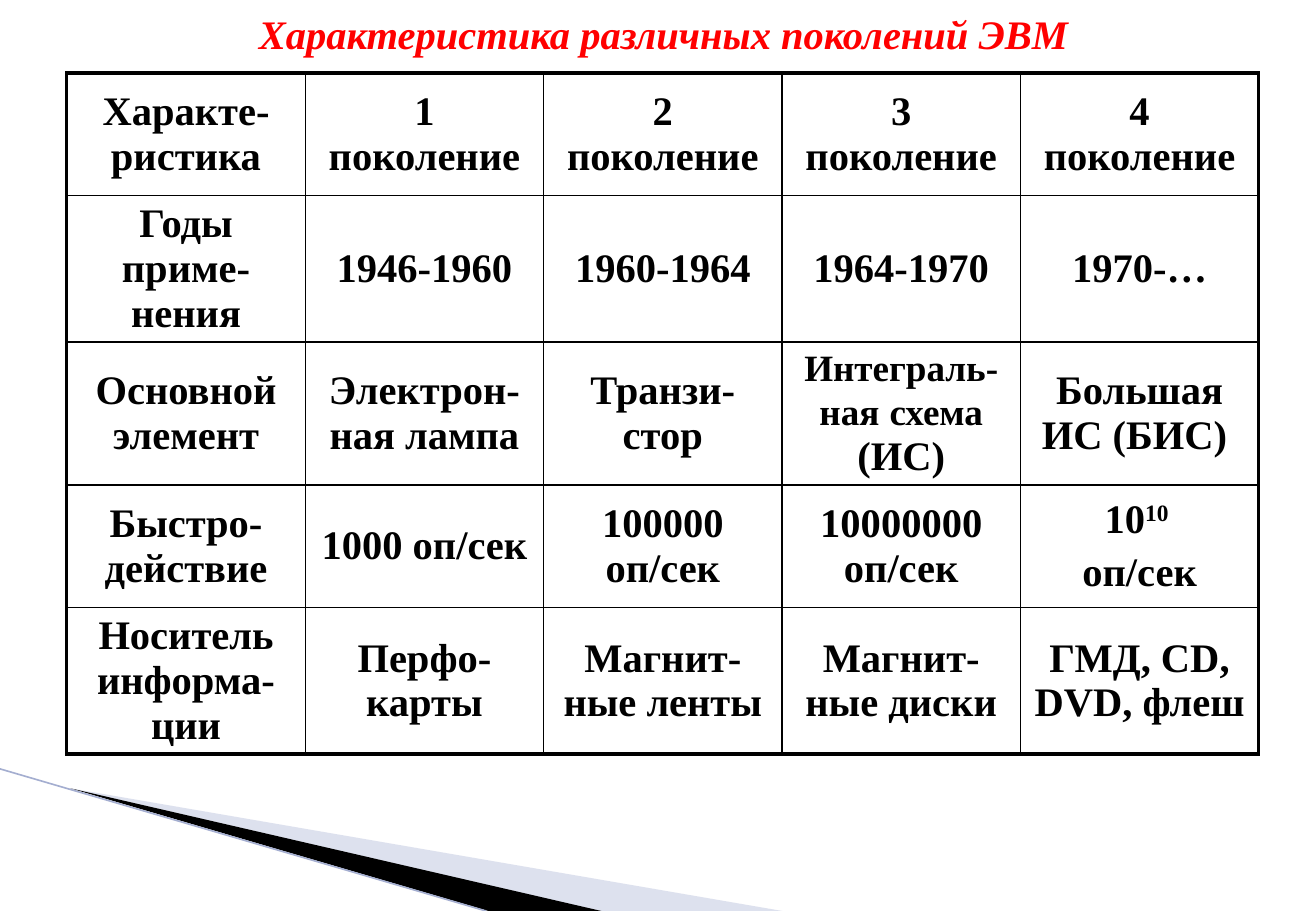
from lxml import etree
from pptx import Presentation
from pptx.dml.color import RGBColor
from pptx.enum.shapes import MSO_CONNECTOR
from pptx.enum.text import MSO_ANCHOR, PP_ALIGN
from pptx.oxml.ns import qn
from pptx.util import Inches, Pt

CENTER, MIDDLE = PP_ALIGN.CENTER, MSO_ANCHOR.MIDDLE
STRAIGHT = MSO_CONNECTOR.STRAIGHT
BLACK = RGBColor(0x00, 0x00, 0x00)
RED = RGBColor(0xFF, 0x00, 0x00)
PALE_BLUE = RGBColor(0xAC, 0xB4, 0xD5)
LINE_BLUE = RGBColor(0xA4, 0xAE, 0xD0)
FONT = "Times New Roman"
SIZE = 24
THIN, THICK = 1, 2.25

ROW_HEIGHTS = [1.01, 1.15, 1.12, 1.01, 1.15]
ROWS = [
    ["Характе-ристика", "1 поколение", "2 поколение", "3 поколение", "4 поколение"],
    ["Годы приме-нения", "1946-1960", "1960-1964", "1964-1970", "1970-…"],
    ["Основной элемент", "Электрон-ная лампа", "Транзи-стор",
     [[("Интеграль-ная", 22, 0), (" ", SIZE, 0), ("схема ", 22, 0), ("(ИС)", SIZE, 0)]],
     "Большая ИС (БИС) "],
    ["Быстро-действие", "1000 оп/сек", "100000 оп/сек", "10000000 оп/сек",
     [[("10", SIZE, 0), ("10 ", SIZE, 30)], [("оп/сек", SIZE, 0)]]],
    ["Носитель информа-ции", "Перфо-карты", "Магнит-ные ленты", "Магнит-ные диски",
     "ГМД, CD, DVD, флеш"],
]


def add_run(p, text, color, size=SIZE, raised=0, italic=False):
    """Add one bold run to a paragraph."""
    r = p.add_run()
    r.text = text
    r.font.name, r.font.size = FONT, Pt(size)
    r.font.bold, r.font.italic = True, italic
    r.font.color.rgb = color
    if raised:
        r.font._element.set("baseline", str(raised * 1000))


def add_wedge(slide, points, color, alpha=100):
    """Draw a filled outline through points given in inches."""
    pts = [(Inches(x), Inches(y)) for x, y in points]
    builder = slide.shapes.build_freeform(*pts[0], scale=1.0)
    builder.add_line_segments(pts[1:], close=True)
    sp = builder.convert_to_shape()
    sp.shadow.inherit = False
    sp.line.fill.background()
    sp.fill.solid()
    sp.fill.fore_color.rgb = color
    if alpha < 100:
        clr = sp._element.spPr.find(qn("a:solidFill"))[0]
        etree.SubElement(clr, qn("a:alpha")).set("val", str(alpha * 1000))


def add_corner(slide, left, top, bottom):
    """Draw the wedges and the line in the lower left corner."""
    tip = (left + 0.58, top + 0.16)
    add_wedge(slide, [tip, (left + 6.44, bottom), (left + 4.94, bottom)], PALE_BLUE, 40)
    add_wedge(slide, [tip, (left + 4.95, bottom), (left + 4.02, bottom)], BLACK)
    line = slide.shapes.add_connector(
        STRAIGHT, Inches(left), Inches(top), Inches(left + 4), Inches(bottom))
    line.line.color.rgb = LINE_BLUE
    line.line.width = Pt(0.95)
    etree.SubElement(line._element.spPr, qn("a:effectLst"))


def add_title(slide, left, top, width, height):
    """Place and fill the title placeholder."""
    sp = slide.shapes.title
    sp.left, sp.top, sp.width, sp.height = map(Inches, (left, top, width, height))
    tf = sp.text_frame
    tf.word_wrap = True
    tf.vertical_anchor = MIDDLE
    p = tf.paragraphs[0]
    p.alignment = CENTER
    add_run(p, "Характеристика различных поколений ЭВМ", RED, italic=True)


def set_borders(cell, widths):
    """Give the four cell sides black lines of the given widths."""
    tc_pr = cell._tc.get_or_add_tcPr()
    for side, width in widths.items():
        ln = etree.SubElement(tc_pr, qn("a:ln" + side), w=str(Pt(width)))
        fill = etree.SubElement(ln, qn("a:solidFill"))
        etree.SubElement(fill, qn("a:srgbClr"), val=str(BLACK))


def fill_cell(cell, content):
    """Write a string, or paragraphs made of runs, into a cell."""
    cell.vertical_anchor = MIDDLE
    cell.margin_left = cell.margin_right = Inches(0.11)
    cell.margin_top = cell.margin_bottom = Inches(0.05)
    paragraphs = [[(content, SIZE, 0)]] if isinstance(content, str) else content
    tf = cell.text_frame
    for i, runs in enumerate(paragraphs):
        p = tf.add_paragraph() if i else tf.paragraphs[0]
        p.alignment = CENTER
        if i:
            p.space_before = Pt(0.2 * SIZE)
        for text, size, raised in runs:
            add_run(p, text, BLACK, size, raised)


def add_generations(slide, left, top, width):
    """Build the table of computer generations."""
    n_rows, n_cols = len(ROWS), len(ROWS[0])
    table = slide.shapes.add_table(
        n_rows, n_cols, Inches(left), Inches(top), Inches(width),
        Inches(sum(ROW_HEIGHTS))).table
    table.first_row = table.horz_banding = False
    for row, height in zip(table.rows, ROW_HEIGHTS):
        row.height = Inches(height)
    for i, row in enumerate(ROWS):
        for j, content in enumerate(row):
            cell = table.cell(i, j)
            fill_cell(cell, content)
            outer = {"L": j == 0, "R": j == n_cols - 1, "T": i == 0, "B": i == n_rows - 1}
            set_borders(cell, {s: THICK if o else THIN for s, o in outer.items()})
            cell.fill.background()


def main():
    """Build and save the slide."""
    prs = Presentation()
    prs.slide_width, prs.slide_height = Inches(10.83), Inches(7.5)
    slide = prs.slides.add_slide(prs.slide_layouts[5])
    add_corner(slide, 0, 6.33, 7.5)
    add_generations(slide, 0.55, 0.6, 9.81)
    add_title(slide, 0.3, 0.02, 10.32, 0.5)
    prs.save("out.pptx")


if __name__ == "__main__":
    main()
